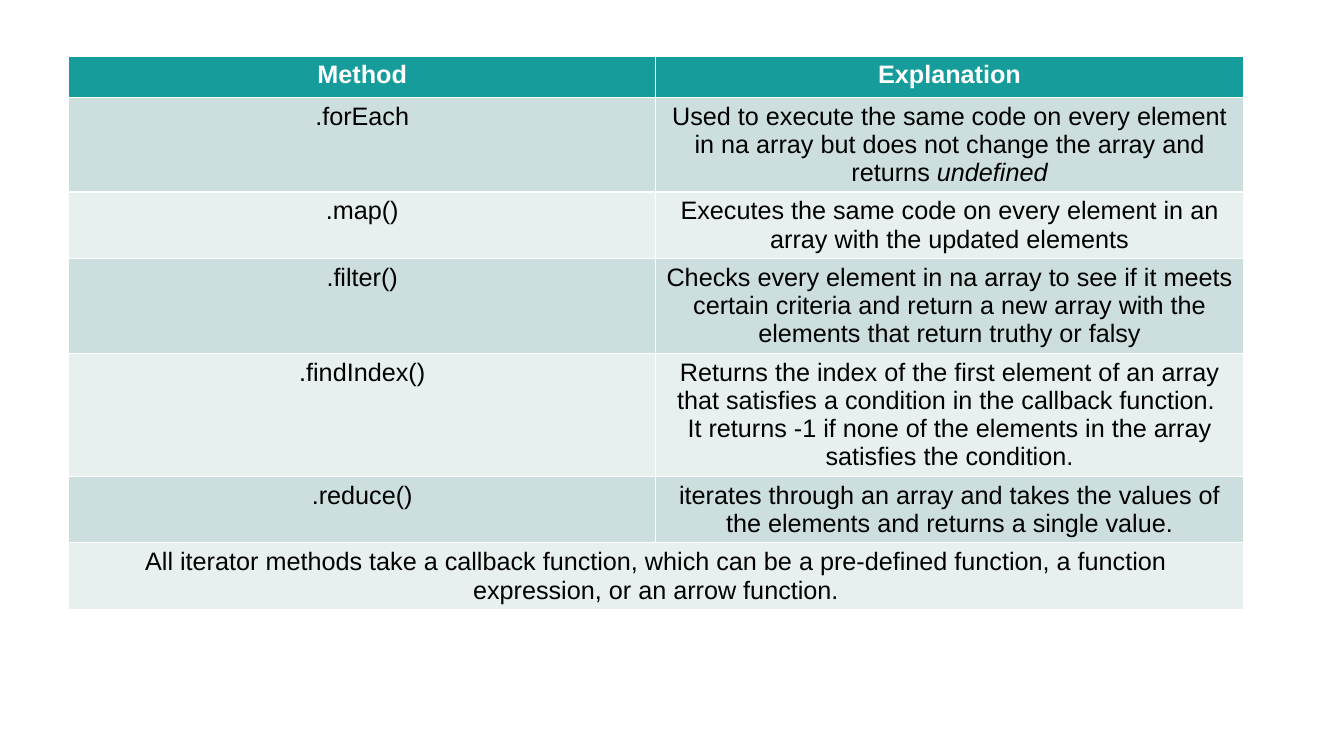
from pptx import Presentation
from pptx import util as u
from pptx.dml.color import RGBColor
from pptx.enum import text

TEAL = RGBColor(0x16, 0x9C, 0x9A)
BANDS = RGBColor(0xCC, 0xDE, 0xDE), RGBColor(0xE8, 0xEF, 0xEF)
WHITE = RGBColor(0xFF, 0xFF, 0xFF)
BLACK = RGBColor(0, 0, 0)

HEADINGS = "Method", "Explanation"
EMPHASIS = "undefined"
ITERATORS = [
    (".forEach", "Used to execute the same code on every element in na array "
                 "but does not change the array and returns "),
    (".map()", "Executes the same code on every element in an array "
               "with the updated elements"),
    (".filter()", "Checks every element in na array to see if it meets certain "
                  "criteria and return a new array with the elements that "
                  "return truthy or falsy"),
    (".findIndex()", "Returns the index of the first element of an array that "
                     "satisfies a condition in the callback function. \n"
                     "It returns -1 if none of the elements in the array "
                     "satisfies the condition."),
    (".reduce()", "iterates through an array and takes the values of the "
                  "elements and returns a single value."),
]
CALLBACK_NOTE = ("All iterator methods take a callback function, which can be a "
                 "pre-defined function, a function expression, or an arrow function.")


class MethodSlide:
    """Holds the text style and the current slide, and adds elements to it."""

    font = "Arial"
    size = u.Pt(18)
    row_height = u.Inches(0.41)

    def __init__(self, deck):
        self.width, self.height = deck.slide_width, deck.slide_height
        self.slide = deck.slides.add_slide(deck.slide_layouts[6])

    def table(self, rows, columns, left, top, width, height):
        shares = zip((left, top, width, height),
                     (self.width, self.height) * 2)
        box = [round(share * side) for share, side in shares]
        frame = self.slide.shapes.add_table(rows, columns, *box)
        for row in frame.table.rows:
            row.height = self.row_height
        frame.height = box[3]
        return frame.table

    def cell(self, cell, words, fill, color=BLACK, bold=False, emphasis=""):
        cell.fill.solid()
        cell.fill.fore_color.rgb = fill
        cell.text_frame.text = words
        if emphasis:
            stressed = cell.text_frame.paragraphs[-1].add_run()
            stressed.text = emphasis
            stressed.font.italic = True
        for paragraph in cell.text_frame.paragraphs:
            paragraph.alignment = text.PP_ALIGN.CENTER
            for run in paragraph.runs:
                run.font.name = self.font
                run.font.size = self.size
                run.font.bold = bold
                run.font.color.rgb = color


def main():
    deck = Presentation()
    deck.slide_width, deck.slide_height = u.Inches(13.33), u.Inches(7.5)
    page = MethodSlide(deck)
    last = len(ITERATORS) + 1
    methods = page.table(last + 1, len(HEADINGS), 0.051, 0.074, 0.874, 0.815)

    for column, heading in enumerate(HEADINGS):
        page.cell(methods.cell(0, column), heading, TEAL, WHITE, bold=True)
    for row, (method, explanation) in enumerate(ITERATORS, start=1):
        band = BANDS[(row - 1) % 2]
        page.cell(methods.cell(row, 0), method, band)
        page.cell(methods.cell(row, 1), explanation, band,
                  emphasis=EMPHASIS if method == ".forEach" else "")

    note = methods.cell(last, 0)
    note.merge(methods.cell(last, 1))
    page.cell(note, CALLBACK_NOTE, BANDS[(last - 1) % 2])
    deck.save("out.pptx")


if __name__ == "__main__":
    main()
